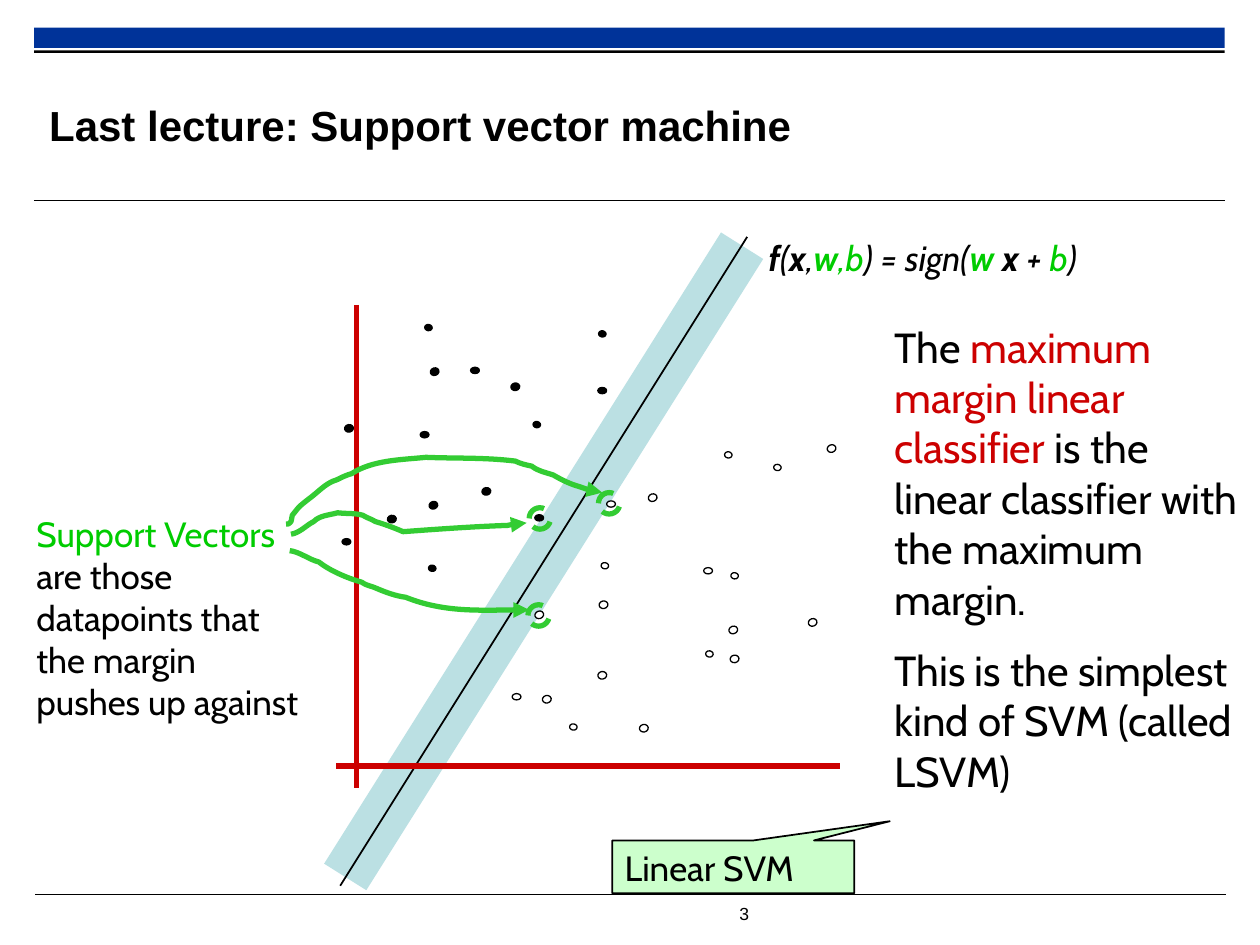
"""Build the slide that recalls the linear support vector machine."""
from dataclasses import dataclass

from lxml import etree
from pptx import Presentation
from pptx.dml.color import RGBColor
from pptx.enum.dml import MSO_LINE
from pptx.enum.shapes import MSO_CONNECTOR, MSO_SHAPE
from pptx.enum.text import MSO_ANCHOR, PP_ALIGN
from pptx.oxml.ns import qn
from pptx.util import Inches, Pt

STRAIGHT = MSO_CONNECTOR.STRAIGHT
RECTANGLE = MSO_SHAPE.RECTANGLE
OVAL = MSO_SHAPE.OVAL
CALLOUT = MSO_SHAPE.RECTANGULAR_CALLOUT
DASH = MSO_LINE.DASH
TOP = MSO_ANCHOR.TOP
MIDDLE = MSO_ANCHOR.MIDDLE
LEFT = PP_ALIGN.LEFT

COLORS = {
    "black": "000000", "white": "FFFFFF", "blue": "003399",
    "margin": "BBE0E3", "red": "CC0000", "green": "00CC00",
    "arrow": "33CC33", "mint": "CCFFCC",
}


@dataclass(frozen=True)
class Run:
    text: str
    color: str = "black"
    bold: bool = False
    italic: bool = False


@dataclass(frozen=True)
class Rule:
    start: tuple
    end: tuple
    color: str
    width: float


@dataclass(frozen=True)
class DotGroup:
    rotation: float
    size: tuple
    filled: tuple
    hollow: tuple


FRAME_RULES = (
    Rule((0.27, 1.59), (9.72, 1.59), "black", 0.6),
    Rule((0.28, 7.1), (9.73, 7.1), "black", 0.6),
)
PLOT_RULES = (
    Rule((2.74, 6.96), (5.89, 1.95), "margin", 28.5),
    Rule((2.7, 7.03), (5.93, 1.88), "black", 1),
    Rule((2.83, 2.42), (2.83, 6.25), "red", 3),
    Rule((2.67, 6.08), (6.67, 6.08), "red", 3),
)
DOT_GROUPS = (
    DotGroup(0, (0.07, 0.05),
             ((2.75, 4.3), (4.78, 3.1), (3.77, 2.94), (4.28, 4.11), (3.37, 3.45)),
             ((4.1, 5.53), (4.85, 4), (5.62, 4.53))),
    DotGroup(341.4, (0.07, 0.06),
             ((3.45, 2.95), (3.44, 4.01)),
             ((4.28, 4.88), (6.6, 3.56), (5.82, 5), (5.18, 3.95), (6.45, 4.94))),
    DotGroup(98.3, (0.05, 0.06),
             ((4.26, 3.37), (3.43, 4.51), (4.78, 2.65), (3.4, 2.6)),
             ((4.55, 5.77), (5.83, 4.57), (4.8, 4.49), (6.17, 3.71),
              (5.78, 3.61), (5.63, 5.19))),
    DotGroup(79.6, (0.06, 0.07),
             ((3.86, 3.9), (3.11, 4.12), (4.09, 3.07), (2.77, 3.4)),
             ((5.11, 5.78), (4.78, 5.36), (4.79, 4.8), (4.34, 5.55), (5.83, 5.23))),
)
ARROW_CURVES = (
    ((2.31, 4.24), (2.38, 4.23), (2.43, 4.17), (2.49, 4.14),
     (2.54, 4.09), (2.61, 4.09), (2.68, 4.07),
     (2.77, 4.08), (2.81, 4.07), (2.88, 4.09),
     (2.91, 4.11), (2.95, 4.12), (2.98, 4.14),
     (3.05, 4.16), (3.13, 4.19), (3.2, 4.22),
     (3.47, 4.2), (3.75, 4.18), (4.03, 4.17),
     (4.08, 4.16), (4.13, 4.15), (4.18, 4.15)),
    ((2.27, 4.16), (2.28, 4.16), (2.3, 4.16), (2.3, 4.15),
     (2.32, 4.14), (2.31, 4.11), (2.32, 4.09),
     (2.33, 4.07), (2.35, 4.06), (2.36, 4.04),
     (2.38, 4.01), (2.48, 3.94), (2.49, 3.93),
     (2.55, 3.88), (2.6, 3.83), (2.67, 3.81),
     (2.71, 3.79), (2.75, 3.77), (2.79, 3.76),
     (2.96, 3.65), (3.19, 3.65), (3.38, 3.63),
     (3.62, 3.64), (3.85, 3.63), (4.09, 3.66),
     (4.13, 3.68), (4.17, 3.69), (4.22, 3.7),
     (4.27, 3.74), (4.33, 3.75), (4.39, 3.77),
     (4.46, 3.81), (4.52, 3.84), (4.59, 3.86),
     (4.65, 3.88), (4.72, 3.91), (4.78, 3.91)),
    ((2.3, 4.37), (2.38, 4.38), (2.45, 4.44), (2.53, 4.46),
     (2.62, 4.53), (2.76, 4.59), (2.87, 4.62),
     (2.91, 4.65), (2.95, 4.65), (2.99, 4.67),
     (3.06, 4.7), (3.14, 4.73), (3.22, 4.74),
     (3.52, 4.86), (3.88, 4.84), (4.2, 4.84)),
)
SUPPORT_RINGS = ((4.75, 3.91), (4.2, 4.03), (4.19, 4.8))
FORMULA = (
    Run("f", bold=True, italic=True), Run("(", italic=True),
    Run("x", bold=True, italic=True), Run(",", italic=True),
    Run("w", "green", True, True), Run(",b", "green", italic=True),
    Run(") = sign(", italic=True), Run("w", "green", True, True),
    Run(" x ", bold=True, italic=True), Run("+ ", italic=True),
    Run("b", "green", italic=True), Run(")", italic=True),
)
EXPLANATION = (
    (Run("The "), Run("maximum margin linear classifier", "red"),
     Run(" is the linear classifier with the maximum margin.")),
    (Run("This is the simplest kind of SVM (called LSVM)"),),
)
SUPPORT_NOTE = (
    Run("Support Vectors ", "green"),
    Run("are those datapoints that the margin pushes up against"),
)


def rgb(name: str) -> RGBColor:
    return RGBColor.from_string(COLORS[name])


def write_text(box, paragraphs: tuple, *, size: float, font: str = "Cabin",
               wrap: bool = True, anchor=TOP, inset: tuple = (0.1, 0.05)) -> None:
    frame = box.text_frame
    frame.word_wrap = wrap
    frame.vertical_anchor = anchor
    frame.margin_left = frame.margin_right = Inches(inset[0])
    frame.margin_top = frame.margin_bottom = Inches(inset[1])
    for index, runs in enumerate(paragraphs):
        para = frame.add_paragraph() if index else frame.paragraphs[0]
        para.alignment = LEFT
        if index:
            para.space_before = Pt(size / 2)
        for run in runs:
            span = para.add_run()
            span.text = run.text
            span.font.size, span.font.name = Pt(size), font
            span.font.bold, span.font.italic = run.bold, run.italic
            span.font.color.rgb = rgb(run.color)


def add_text(slide, area: tuple, paragraphs: tuple, **text_format) -> None:
    box = slide.shapes.add_textbox(*map(Inches, area))
    write_text(box, paragraphs, **text_format)


def paint(shape, fill: str = "", line: str = "", width: float = 1) -> None:
    shape.shadow.inherit = False
    if fill:
        shape.fill.solid()
        shape.fill.fore_color.rgb = rgb(fill)
    else:
        shape.fill.background()
    if line:
        shape.line.color.rgb = rgb(line)
        shape.line.width = Pt(width)
    else:
        shape.line.fill.background()


def add_shape(slide, kind, area: tuple, **style):
    shape = slide.shapes.add_shape(kind, *map(Inches, area))
    paint(shape, **style)
    return shape


def add_rule(slide, rule: Rule) -> None:
    connector = slide.shapes.add_connector(STRAIGHT, *map(Inches, rule.start + rule.end))
    connector.line.color.rgb = rgb(rule.color)
    connector.line.width = Pt(rule.width)
    etree.SubElement(connector.element.spPr, qn("a:effectLst"))


def add_dots(slide, group: DotGroup) -> None:
    width, height = group.size
    for fill, centers in (("black", group.filled), ("white", group.hollow)):
        for x, y in centers:
            area = (x - width / 2, y - height / 2, width, height)
            dot = add_shape(slide, OVAL, area, fill=fill, line="black", width=0.75)
            dot.rotation = group.rotation


def add_curved_arrow(slide, controls: tuple) -> None:
    builder = slide.shapes.build_freeform(*map(Inches, controls[0]))
    builder.add_line_segments([tuple(map(Inches, point)) for point in controls[1:]], close=False)
    arrow = builder.convert_to_shape()
    paint(arrow, line="arrow", width=3)
    properties = arrow.element.spPr
    segments = list(properties.iter(qn("a:lnTo")))
    for start in range(0, len(segments), 3):
        curve = etree.Element(qn("a:cubicBezTo"))
        segments[start].addprevious(curve)
        for segment in segments[start:start + 3]:
            curve.append(segment[0])
            segment.getparent().remove(segment)
    etree.SubElement(properties.find(qn("a:ln")), qn("a:tailEnd"), type="triangle")


def main() -> None:
    deck = Presentation()
    deck.slide_width, deck.slide_height = Inches(10), Inches(7.5)
    slide = deck.slides.add_slide(deck.slide_layouts[6])
    add_shape(slide, RECTANGLE, (0.27, 0.22, 9.45, 0.16), fill="blue")
    add_shape(slide, RECTANGLE, (0.27, 0.4, 9.45, 0.02), fill="black")
    for rule in FRAME_RULES + PLOT_RULES:
        add_rule(slide, rule)
    add_text(slide, (5.77, 7.12, 0.48, 0.27), ((Run("3"),),), size=10, font="Arial", wrap=False)
    for group in DOT_GROUPS:
        add_dots(slide, group)
    add_text(slide, (6, 1.83, 3.5, 0.43), (FORMULA,), size=20)
    add_text(slide, (7, 2.5, 3, 3.94), EXPLANATION, size=24)
    callout = add_shape(slide, CALLOUT, (4.86, 6.67, 1.92, 0.42), fill="mint", line="black")
    callout.adjustments[0], callout.adjustments[1] = 0.647, -0.863
    write_text(callout, ((Run("Linear SVM"),),), size=20)
    add_text(slide, (0.19, 4.02, 2.32, 2.1), (SUPPORT_NOTE,), size=20)
    for controls in ARROW_CURVES:
        add_curved_arrow(slide, controls)
    for left, top in SUPPORT_RINGS:
        ring = add_shape(slide, OVAL, (left, top, 0.17, 0.17), line="arrow", width=3)
        ring.line.dash_style = DASH
    add_text(slide, (0.39, 0.53, 7.11, 0.92),
             ((Run("Last lecture: Support vector machine", bold=True),),),
             size=24, font="Arial", anchor=MIDDLE, inset=(0, 0))
    deck.save("out.pptx")


if __name__ == "__main__":
    main()
